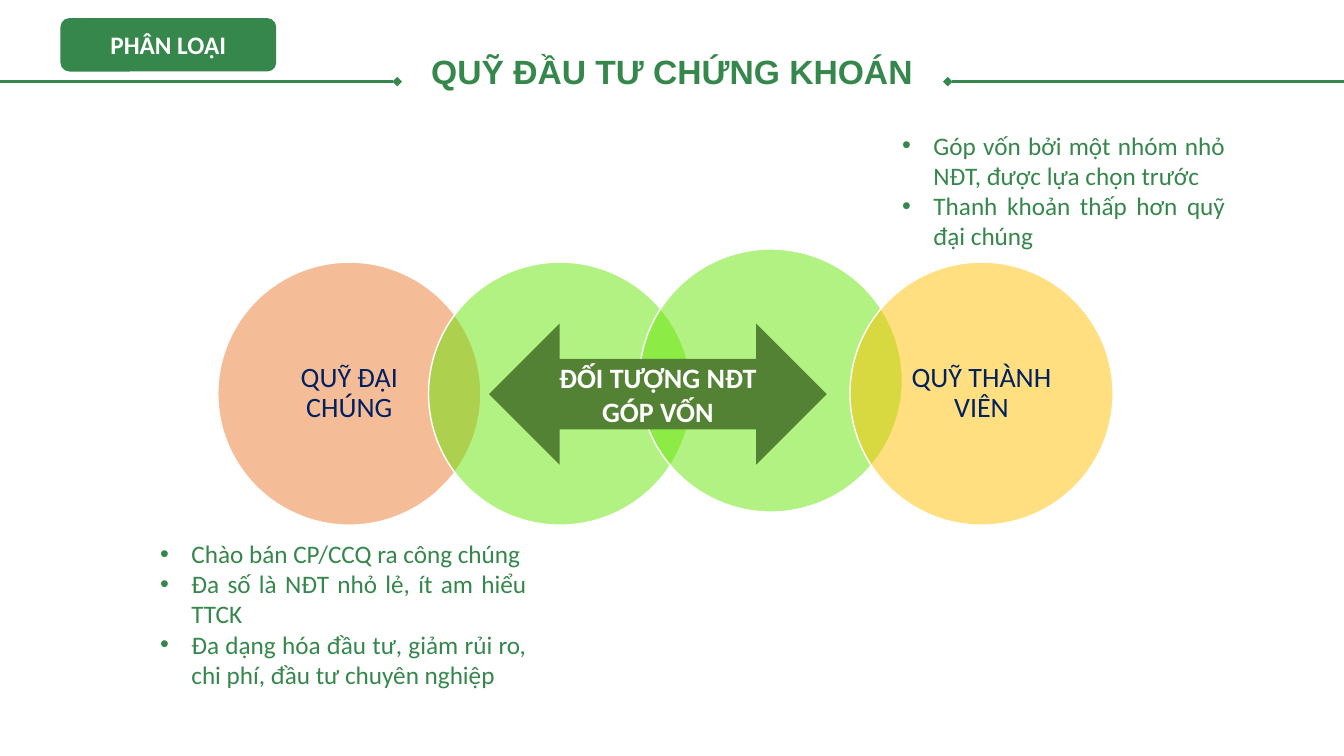
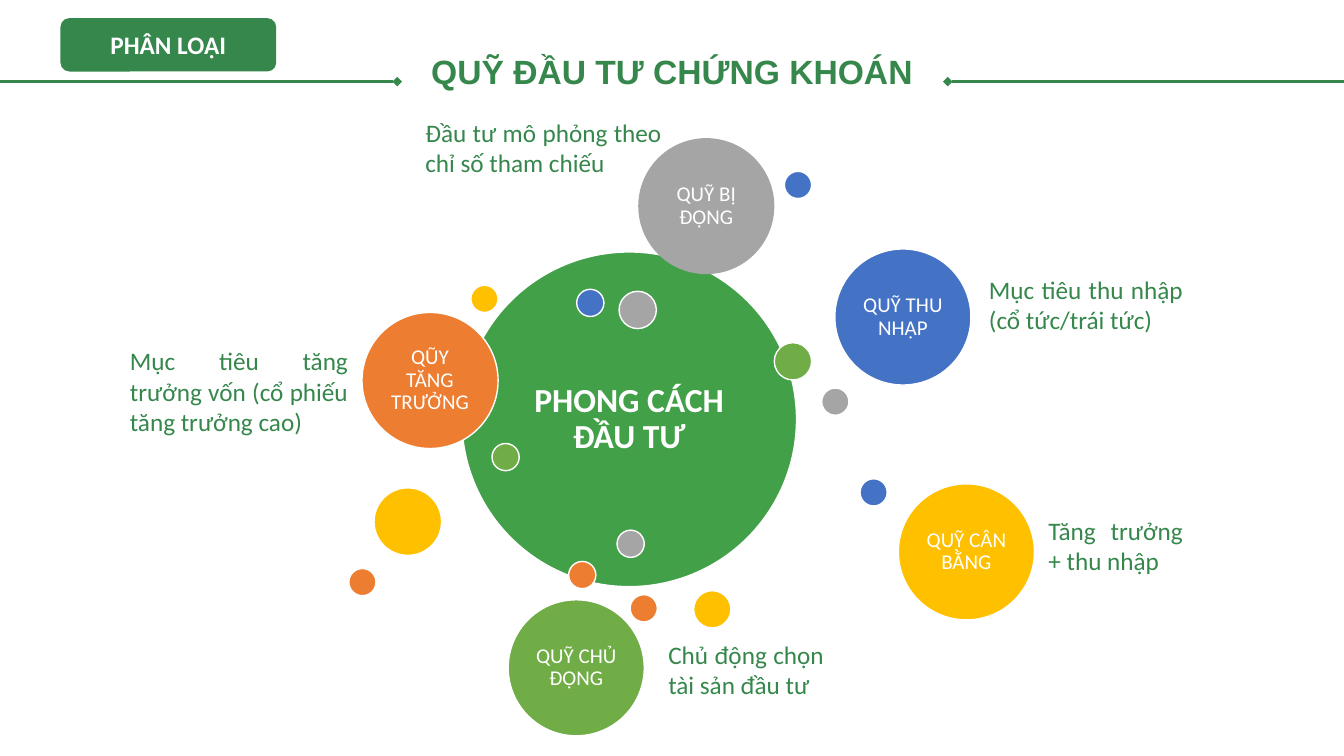
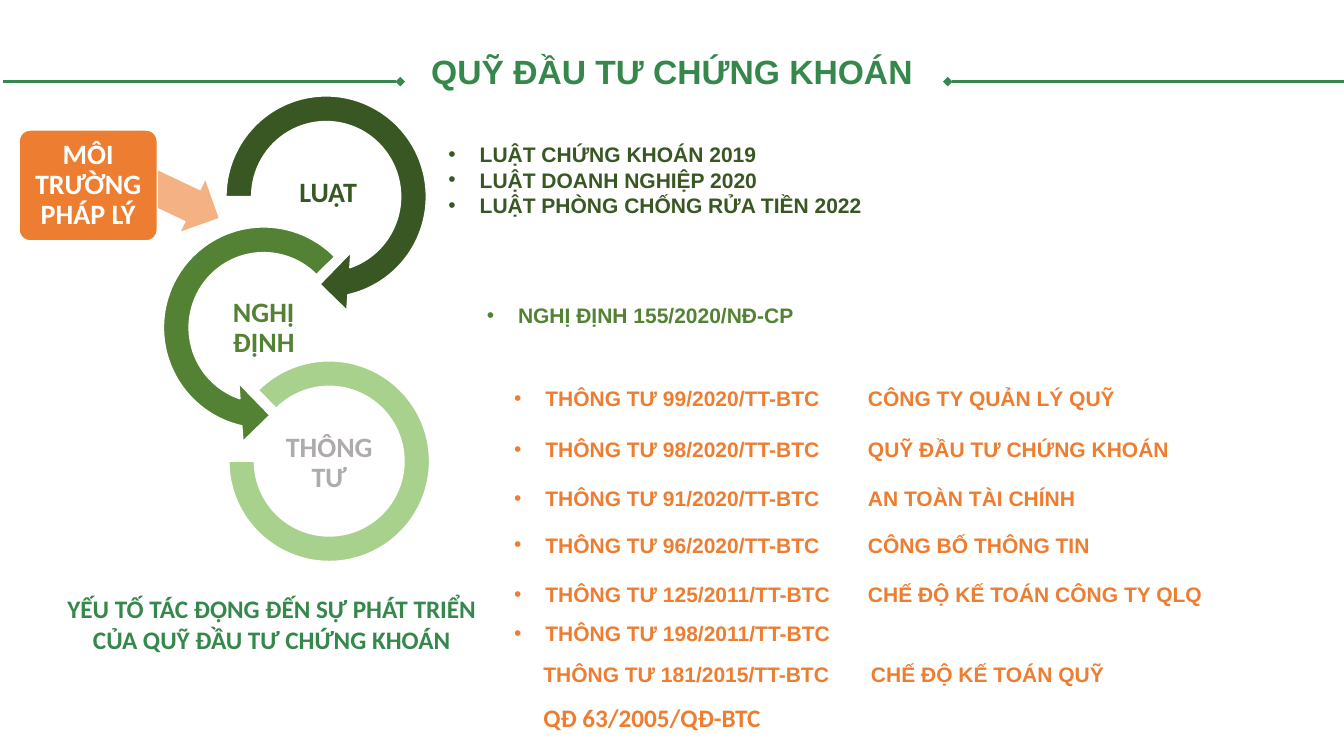
from lxml import etree
from pptx import Presentation
from pptx.dml.color import RGBColor
from pptx.enum.shapes import MSO_CONNECTOR, MSO_SHAPE
from pptx.enum.text import MSO_ANCHOR, MSO_AUTO_SIZE, PP_ALIGN
from pptx.oxml.ns import qn
from pptx.util import Inches, Pt

LEFT, CENTER, JUSTIFY = PP_ALIGN.LEFT, PP_ALIGN.CENTER, PP_ALIGN.JUSTIFY
TOP, MIDDLE = MSO_ANCHOR.TOP, MSO_ANCHOR.MIDDLE
OVAL, ROUNDED = MSO_SHAPE.OVAL, MSO_SHAPE.ROUNDED_RECTANGLE

COLORS = {
    "brand": "35874C",
    "white": "FFFFFF",
    "navy": "002060",
    "orange": "ED7D31",
    "peach": "F4B183",
    "lime": "67E607",
    "gold": "FFC000",
    "gray": "A5A5A5",
    "silver": "AFABAB",
    "blue": "4472C4",
    "leaf": "70AD47",
    "hub": "42A048",
    "forest": "385723",
    "moss": "548235",
    "mint": "A9D18E",
}


def write(shape, text, size=18, color="brand", font="Calibri", bold=False, align=LEFT,
          anchor=TOP, spacing=None, bullet=False, inset=(0.1, 0.05)):
    tf = shape.text_frame
    tf.word_wrap = True
    tf.auto_size = MSO_AUTO_SIZE.NONE
    tf.vertical_anchor = anchor
    tf.margin_left = tf.margin_right = Inches(inset[0])
    tf.margin_top = tf.margin_bottom = Inches(inset[1])
    for i, line in enumerate(text.split("\n")):
        p = tf.paragraphs[0] if i == 0 else tf.add_paragraph()
        p.alignment = align
        if spacing:
            p.line_spacing = spacing
        if bullet:
            pPr = p._p.get_or_add_pPr()
            pPr.set("marL", str(Inches(0.31)))
            pPr.set("indent", str(Inches(-0.31)))
            etree.SubElement(pPr, qn("a:buFont")).set("typeface", "Arial")
            etree.SubElement(pPr, qn("a:buChar")).set("char", "•")
        r = p.add_run()
        r.text = line
        r.font.name = font
        r.font.size = Pt(size)
        r.font.bold = bold
        r.font.color.rgb = RGBColor.from_string(COLORS[color])


def draw(s, kind, box, fill, outline=True, alpha=None, adjust=()):
    sp = s.shapes.add_shape(kind, *[Inches(v) for v in box])
    sp.shadow.inherit = False
    sp.fill.solid()
    sp.fill.fore_color.rgb = RGBColor.from_string(COLORS[fill])
    if alpha:
        color = sp.element.spPr.find(qn("a:solidFill"))[0]
        etree.SubElement(color, qn("a:alpha")).set("val", str(alpha * 1000))
    if outline:
        sp.line.color.rgb = RGBColor.from_string(COLORS["white"])
        sp.line.width = Pt(1)
    else:
        sp.line.fill.background()
    for i, value in enumerate(adjust):
        sp.adjustments[i] = value
    return sp


prs = Presentation()
prs.slide_width = Inches(13.33)
prs.slide_height = Inches(7.5)

for left_start, badge in [(0, True), (0, True), (0.03, False)]:
    s = prs.slides.add_slide(prs.slide_layouts[5])
    title = s.shapes.title
    title.left, title.top = Inches(0.25), Inches(0.55)
    title.width, title.height = Inches(12.83), Inches(0.36)
    write(title, "QUỸ ĐẦU TƯ CHỨNG KHOÁN", size=24, font="Arial", bold=True,
          align=CENTER, spacing=0.9, inset=(0, 0))
    for x1, x2, end in [(9.4, 13.33, "a:headEnd"), (left_start, left_start + 3.94, "a:tailEnd")]:
        rule = s.shapes.add_connector(MSO_CONNECTOR.STRAIGHT, Inches(x1), Inches(0.81),
                                      Inches(x2), Inches(0.81))
        rule.line.color.rgb = RGBColor.from_string(COLORS["brand"])
        rule.line.width = Pt(2.25)
        spPr = rule.element.spPr
        etree.SubElement(spPr.find(qn("a:ln")), qn(end)).set("type", "diamond")
        etree.SubElement(spPr, qn("a:effectLst"))
    if badge:
        sp = draw(s, ROUNDED, (0.6, 0.18, 2.14, 0.53), "brand", outline=False)
        write(sp, "PHÂN LOẠI", color="white", bold=True, align=CENTER, anchor=MIDDLE)

investors, styles, legal = prs.slides

circles = [
    (2.6, "orange", "QUỸ ĐẠI CHÚNG"),
    (2.6, "lime", None),
    (2.47, "lime", None),
    (2.6, "gold", "QUỸ THÀNH VIÊN"),
]
for i, (top, fill, label) in enumerate(circles):
    sp = draw(investors, OVAL, (2.16 + 2.09 * i, top, 2.61, 2.61), fill, alpha=50)
    if label:
        write(sp, label, size=20, color="navy", align=CENTER, anchor=MIDDLE,
              spacing=0.9, inset=(0.14, 0.03))

sp = draw(investors, MSO_SHAPE.LEFT_RIGHT_ARROW, (4.85, 3.21, 3.35, 1.4), "moss", outline=False)
write(sp, "ĐỐI TƯỢNG NĐT GÓP VỐN", size=20, color="white", bold=True, align=CENTER, anchor=MIDDLE)

fund_notes = [
    ((1.49, 5.29, 3.83, 1.62),
     "Chào bán CP/CCQ ra công chúng\n"
     "Đa số là NĐT nhỏ lẻ, ít am hiểu TTCK\n"
     "Đa dạng hóa đầu tư, giảm rủi ro, chi phí, đầu tư chuyên nghiệp"),
    ((8.85, 1.24, 3.4, 1.31),
     "Góp vốn bởi một nhóm nhỏ NĐT, được lựa chọn trước\n"
     "Thanh khoản thấp hơn quỹ đại chúng"),
]
for box, text in fund_notes:
    tb = investors.shapes.add_textbox(*[Inches(v) for v in box])
    write(tb, text, align=JUSTIFY, bullet=True)

sp = draw(styles, OVAL, (4.58, 2.5, 3.32, 3.32), "hub")
write(sp, "PHONG CÁCH ĐẦU TƯ", size=24, color="white", bold=True, align=CENTER,
      anchor=MIDDLE, spacing=0.9, inset=(0.1, 0.1))

DOT, BEAD, BALL, FUND = 0.27, 0.37, 0.67, 1.35
bubbles = [
    (5.64, 5.57, DOT, "orange", None),
    (8.15, 3.85, DOT, "gray", None),
    (6.88, 5.86, BEAD, "gold", None),
    (5.72, 2.87, DOT, "blue", None),
    (4.88, 4.4, DOT, "leaf", None),
    (3.59, 3.1, FUND, "orange", "QŨY TĂNG TRƯỞNG"),
    (6.14, 2.89, BEAD, "gray", None),
    (3.71, 4.84, BALL, "gold", None),
    (8.28, 2.47, FUND, "blue", "QUỸ THU NHẬP"),
    (7.68, 3.4, BEAD, "leaf", None),
    (3.46, 5.64, DOT, "orange", None),
    (6.12, 5.26, DOT, "gray", None),
    (8.91, 4.8, FUND, "gold", "QUỸ CÂN BẰNG"),
    (8.53, 4.75, DOT, "blue", None),
    (5.04, 5.95, FUND, "leaf", "QUỸ CHỦ ĐỘNG"),
    (6.25, 5.9, DOT, "orange", None),
    (6.33, 1.37, FUND, "gray", "QUỸ BỊ ĐỘNG"),
    (4.67, 2.83, DOT, "gold", None),
    (7.78, 1.7, DOT, "blue", None),
]
for left, top, size, fill, label in bubbles:
    sp = draw(styles, OVAL, (left, top, size, size), fill, outline=label != "QUỸ BỊ ĐỘNG")
    if label:
        write(sp, label, size=15, color="white", align=CENTER, anchor=MIDDLE,
              spacing=0.9, inset=(0.06, 0.06))

style_notes = [
    ((1.19, 3.38, 2.36, 1.01), "Mục tiêu tăng trưởng vốn (cổ phiếu tăng trưởng cao)"),
    ((9.71, 2.67, 2.12, 0.71), "Mục tiêu thu nhập (cổ tức/trái tức)"),
    ((10.3, 5.06, 1.53, 0.71), "Tăng trưởng + thu nhập"),
    ((6.53, 6.29, 1.74, 0.71), "Chủ động chọn tài sản đầu tư"),
    ((4.12, 1.11, 2.54, 0.71), "Đầu tư mô phỏng theo chỉ số tham chiếu"),
]
for box, text in style_notes:
    tb = styles.shapes.add_textbox(*[Inches(v) for v in box])
    write(tb, text, align=JUSTIFY)

tb = legal.shapes.add_textbox(Inches(0.52), Inches(5.84), Inches(4.35), Inches(0.71))
write(tb, "YẾU TỐ TÁC ĐỘNG ĐẾN SỰ PHÁT TRIỂN CỦA QUỸ ĐẦU TƯ CHỨNG KHOÁN", bold=True, align=CENTER)

pointer = draw(legal, MSO_SHAPE.LEFT_ARROW, (0.96, 1.61, 1.27, 0.56), "peach",
               outline=False, adjust=(0.6, 0.5))
pointer.rotation = 205.4
sp = draw(legal, ROUNDED, (0.19, 1.29, 1.37, 1.1), "orange", adjust=(0.1,))
write(sp, "MÔI TRƯỜNG PHÁP LÝ", size=20, color="white", bold=True, align=CENTER,
      anchor=MIDDLE, spacing=0.9, inset=(0.03, 0.03))

law_lists = [
    ((4.35, 1.36, 4.53, 0.86), "forest",
     "LUẬT CHỨNG KHOÁN 2019\nLUẬT DOANH NGHIỆP 2020\nLUẬT PHÒNG CHỐNG RỬA TIỀN 2022"),
    ((4.73, 2.95, 4.53, 0.35), "moss", "NGHỊ ĐỊNH 155/2020/NĐ-CP"),
]
for box, color, text in law_lists:
    tb = legal.shapes.add_textbox(*[Inches(v) for v in box])
    write(tb, text, size=15, color=color, font="Arial", bold=True, bullet=True)

circulars = [
    (3.78, 5, "THÔNG TƯ 99/2020/TT-BTC", 8.51, "CÔNG TY QUẢN LÝ QUỸ"),
    (4.28, 5, "THÔNG TƯ 98/2020/TT-BTC", 8.51, "QUỸ ĐẦU TƯ CHỨNG KHOÁN"),
    (4.77, 5, "THÔNG TƯ 91/2020/TT-BTC", 8.51, "AN TOÀN TÀI CHÍNH"),
    (5.23, 5, "THÔNG TƯ 96/2020/TT-BTC", 8.51, "CÔNG BỐ THÔNG TIN"),
    (5.72, 5, "THÔNG TƯ 125/2011/TT-BTC", 8.51, "CHẾ ĐỘ KẾ TOÁN CÔNG TY QLQ"),
    (6.11, 5, "THÔNG TƯ 198/2011/TT-BTC", 8.51, None),
    (6.51, 5.29, "THÔNG TƯ 181/2015/TT-BTC", 8.54, "CHẾ ĐỘ KẾ TOÁN QUỸ"),
]
for top, code_left, code, topic_left, topic in circulars:
    for left, text, bullet in [(code_left, code, code_left == 5), (topic_left, topic, False)]:
        if text:
            tb = legal.shapes.add_textbox(Inches(left), Inches(top), Inches(3.61), Inches(0.35))
            write(tb, text, size=15, color="orange", font="Arial", bold=True, bullet=bullet)

tb = legal.shapes.add_textbox(Inches(5.29), Inches(6.92), Inches(2.74), Inches(0.4))
write(tb, "QĐ 63/2005/QĐ-BTC", color="orange", bold=True)

rings = [
    (MSO_SHAPE.CIRCULAR_ARROW, (2.08, 0.79, 2.31, 2.32), "forest",
     (0.11, 11.42, 45, 108, 0.125), (2.61, 1.6), "LUẬT", "forest"),
    (MSO_SHAPE.LEFT_CIRCULAR_ARROW, (1.46, 2.09, 2.31, 2.32), "moss",
     (0.11, 11.42, 63, 189, 0.125), (1.97, 2.94), "NGHỊ ĐỊNH", "moss"),
    (MSO_SHAPE.BLOCK_ARC, (2.27, 3.58, 1.99, 1.99), "mint",
     (135, 108, 0.127), (2.62, 4.28), "THÔNG TƯ", "silver"),
]
for kind, box, fill, adjust, (left, top), label, color in rings:
    draw(legal, kind, box, fill, adjust=adjust)
    tb = legal.shapes.add_textbox(Inches(left), Inches(top), Inches(1.29), Inches(0.64))
    write(tb, label, size=20, color=color, bold=True, align=CENTER, anchor=MIDDLE,
          spacing=0.9, inset=(0.01, 0.01))

prs.save("out.pptx")
